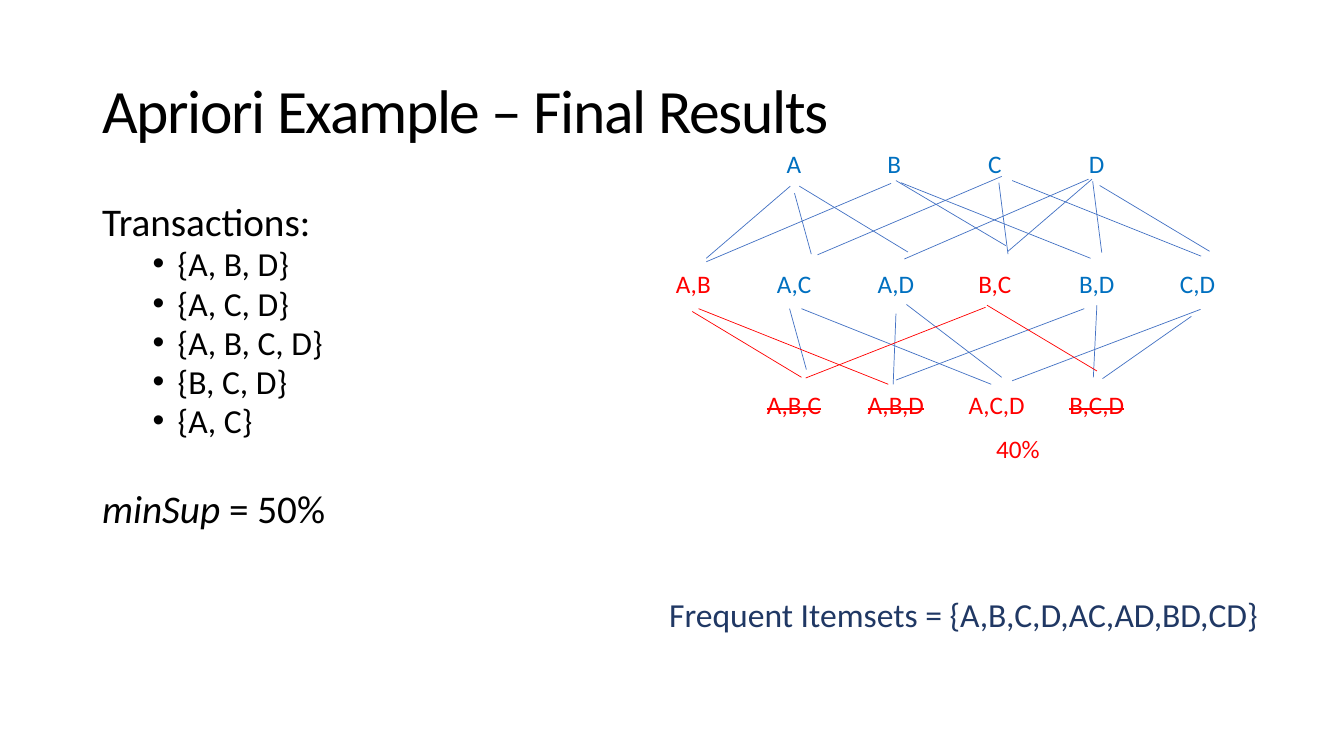
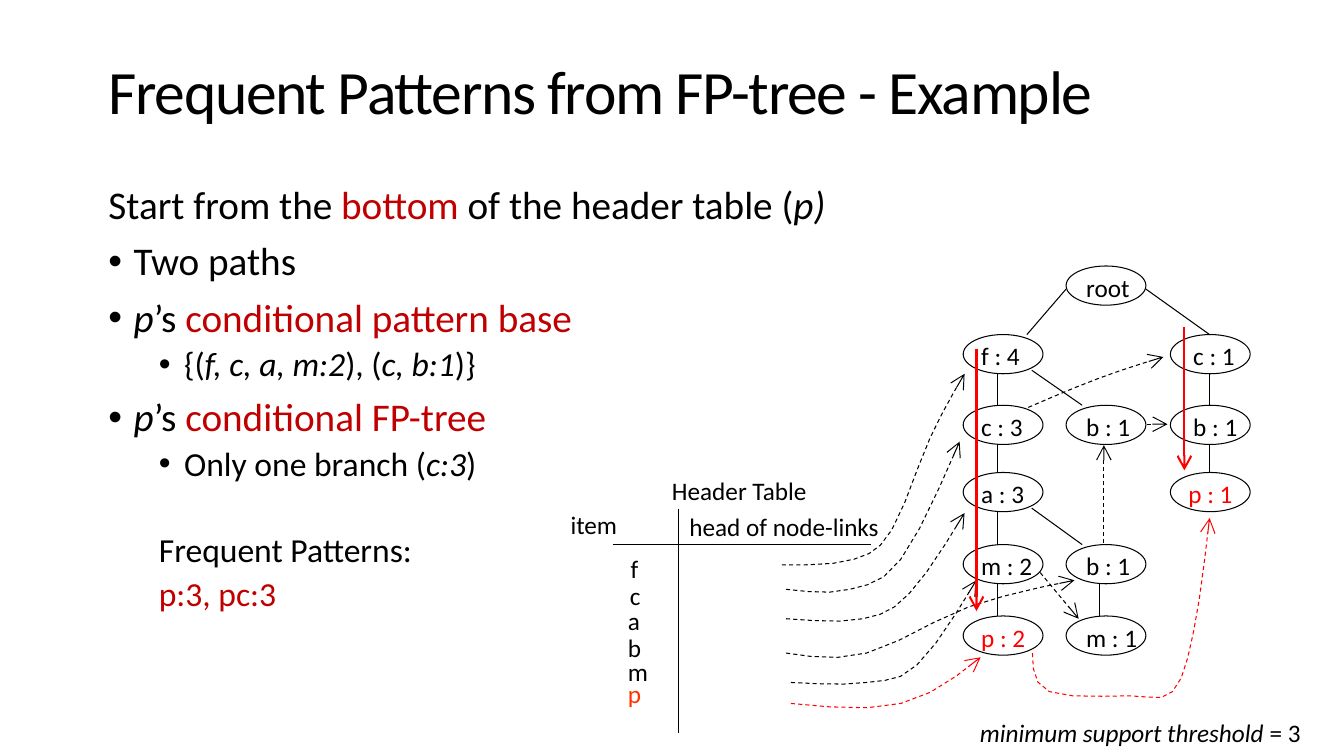
from dataclasses import dataclass
from lxml.etree import SubElement
from pptx import Presentation
from pptx.dml.color import RGBColor as Rgb
from pptx.enum.dml import MSO_LINE
from pptx.enum.shapes import MSO_CONNECTOR, MSO_SHAPE
from pptx.enum.text import MSO_ANCHOR as Anchor, MSO_AUTO_SIZE as AutoSize, PP_ALIGN as Align
from pptx.oxml.ns import qn
from pptx.util import Pt


@dataclass(frozen=True)
class Theme:
    font: str = "Calibri"
    title: int = 44
    body: int = 28
    detail: int = 24
    label: int = 18
    black: Rgb = Rgb.from_string("000000")
    blue: Rgb = Rgb.from_string("0070C0")
    edge: Rgb = Rgb.from_string("4472C4")
    navy: Rgb = Rgb.from_string("203864")
    red: Rgb = Rgb.from_string("FF0000")
    crimson: Rgb = Rgb.from_string("C00000")
    orange: Rgb = Rgb.from_string("FF3300")


THEME = Theme()
ITALIC = {"italic": True}
CRIMSON = {"color": THEME.crimson}
RED = {"color": THEME.red}
STRUCK = {**RED, "strike": "sngStrike"}
RAW_RUN_FORMATS = ("spc", "strike")


def apply(target, formats):
    for name, value in formats.items():
        setattr(target, name, value)


def spline(knots, steps=3):
    last = len(knots) - 1
    pull = [tuple((b - a) / 6 for a, b in zip(knots[max(i - 1, 0)], knots[min(i + 1, last)]))
            for i in range(last + 1)]
    points = []
    for i in range(last):
        start, end = knots[i], knots[i + 1]
        leave = [k + d for k, d in zip(start, pull[i])]
        arrive = [k - d for k, d in zip(end, pull[i + 1])]
        if i == 0:
            leave = [(k + c) / 2 for k, c in zip(start, arrive)]
        if i == last - 1:
            arrive = [(k + c) / 2 for k, c in zip(end, leave)]
        for step in range(1, steps + 1):
            t = step / steps
            u = 1 - t
            points.append(tuple(
                u ** 3 * a + 3 * u * u * t * b + 3 * u * t * t * c + t ** 3 * d
                for a, b, c, d in zip(start, leave, arrive, end)))
    return points


class Deck:
    """Holds the theme, the presentation and the slide being filled."""

    def __init__(self, theme):
        self.theme = theme
        self.show = Presentation()
        self.show.slide_width, self.show.slide_height = Pt(960), Pt(540)
        self.slide = None

    def new_slide(self):
        self.slide = self.show.slides.add_slide(self.show.slide_layouts[6])

    def fill_frame(self, frame, paragraphs, **base):
        for index, (runs, style) in enumerate(paragraphs):
            paragraph = frame.paragraphs[0] if index == 0 else frame.add_paragraph()
            self.paragraph(paragraph, runs, **{**base, **style})

    def paragraph(self, paragraph, runs, size, color=THEME.black, margin=0, bullet=False,
                  tabs=(), run_format=None, **layout):
        props = paragraph._p.get_or_add_pPr()
        if margin:
            props.set("marL", str(Pt(margin)))
            props.set("indent", str(Pt(-18 if bullet else 0)))
        if bullet:
            SubElement(props, qn("a:buFont"), typeface="Arial")
            SubElement(props, qn("a:buChar"), char="•")
        if tabs:
            stops = SubElement(props, qn("a:tabLst"))
            for stop in tabs:
                SubElement(stops, qn("a:tab"), pos=str(Pt(stop)), algn="l")
        apply(paragraph, layout)
        for words, formats in [(runs, {})] if isinstance(runs, str) else runs:
            run = paragraph.add_run()
            run.text = words
            formats = {"name": self.theme.font, "size": Pt(size), "color": color,
                       **(run_format or {}), **formats}
            run.font.color.rgb = formats.pop("color")
            for name in RAW_RUN_FORMATS:
                if name in formats:
                    run._r.get_or_add_rPr().set(name, formats.pop(name))
            apply(run.font, formats)

    def text(self, left, top, width, height, paragraphs, anchor=Anchor.TOP, wrap=True, **base):
        if isinstance(paragraphs, str):
            paragraphs = [(paragraphs, {})]
        frame = self.slide.shapes.add_textbox(Pt(left), Pt(top), Pt(width), Pt(height)).text_frame
        apply(frame, {"margin_left": 0, "margin_right": 0, "margin_top": 0, "margin_bottom": 0,
                      "word_wrap": wrap, "vertical_anchor": anchor,
                      "auto_size": AutoSize.NONE if wrap else AutoSize.SHAPE_TO_FIT_TEXT})
        self.fill_frame(frame, paragraphs, **{"size": self.theme.label, **base})

    def title(self, words, left, top):
        self.text(left, top, 814, 104, words, Anchor.MIDDLE, size=self.theme.title,
                  line_spacing=0.9, run_format={"spc": "-96"})

    def stroke(self, shape, color, weight, dashed=False, arrow=False):
        shape.line.color.rgb = color
        shape.line.width = Pt(weight)
        if dashed:
            shape.line.dash_style = MSO_LINE.DASH
        if arrow:
            SubElement(shape._element.spPr.find(qn("a:ln")), qn("a:tailEnd"),
                       type="arrow", w="lg", len="lg")

    def line(self, x1, y1, x2, y2, color=THEME.black, weight=0.75, **ends):
        connector = self.slide.shapes.add_connector(
            MSO_CONNECTOR.STRAIGHT, Pt(x1), Pt(y1), Pt(x2), Pt(y2))
        self.stroke(connector, color, weight, **ends)
        SubElement(connector._element.spPr, qn("a:effectLst"))

    def curve(self, knots, color=THEME.black):
        builder = self.slide.shapes.build_freeform(Pt(knots[0][0]), Pt(knots[0][1]))
        builder.add_line_segments([(Pt(x), Pt(y)) for x, y in spline(knots)], close=False)
        link = builder.convert_to_shape()
        link.fill.background()
        link.shadow.inherit = False
        self.stroke(link, color, 0.75, dashed=True, arrow=True)

    def node(self, left, top, width, height, words, inset, color):
        oval = self.slide.shapes.add_shape(
            MSO_SHAPE.OVAL, Pt(left), Pt(top), Pt(width), Pt(height))
        oval.fill.background()
        oval.shadow.inherit = False
        self.stroke(oval, self.theme.black, 0.75)
        apply(oval.text_frame, {"margin_left": Pt(inset), "margin_right": 0,
                                "margin_top": Pt(2.5), "margin_bottom": 0,
                                "word_wrap": False, "vertical_anchor": Anchor.MIDDLE})
        self.fill_frame(oval.text_frame, [(words, {})], size=self.theme.label, color=color,
                        alignment=Align.LEFT)


def apriori_slide(deck):
    theme = deck.theme
    deck.new_slide()
    deck.title("Apriori Example – Final Results", 73, 29)

    transaction = {"level": 1, "margin": 54, "bullet": True, "size": theme.detail,
                   "space_before": Pt(5)}
    transactions = ["{A, B, D}", "{A, C, D}", "{A, B, C, D}", "{B, C, D}", "{A, C}"]
    deck.text(73, 147.5, 380, 240, [
        ("Transactions:", {}),
        *[(items, transaction) for items in transactions],
        ([("minSup ", ITALIC), ("= 50%", {})], {"space_before": Pt(38)}),
    ], size=theme.body, line_spacing=0.8)
    deck.text(478, 424, 430, 30, "Frequent Itemsets = {A,B,C,D,AC,AD,BD,CD}",
              size=theme.detail, color=theme.navy)

    level_gap = {"space_before": Pt(64.4)}
    deck.text(481, 106, 388.8, 218, [
        ("A\tB\tC\tD", {}),
        ([("A,B", RED), ("\tA,C\tA,D\t", {}), ("B,C", RED), ("\tB,D\tC,D", {})], level_gap),
        ([("A,B,C", STRUCK), ("\t", {}), ("A,B,D", STRUCK), ("\t", {}), ("A,C,D\t", RED),
          ("B,C,D", STRUCK)], level_gap),
    ], wrap=False, color=theme.blue, alignment=Align.CENTER,
        tabs=[72 * column for column in range(1, 6)])
    deck.text(711.5, 309.5, 40, 22, "40%", color=theme.red)

    subset_edges = {
        theme.edge: [
            (564.5, 133, 504.5, 184.5), (636.5, 131, 504.5, 187), (567.5, 138, 579.5, 181.5),
            (571, 133, 648.5, 180), (780, 128, 720, 179.5), (715.5, 126, 584, 182),
            (777.5, 128, 646, 185), (785.5, 132.5, 864, 179.5), (640, 129, 718.5, 175.5),
            (713.5, 130.5, 720, 181.5), (643.5, 130.5, 779, 184.5), (780.5, 129.5, 787, 180.5),
            (723, 129, 858, 183), (564, 220.5, 576, 264), (640, 224, 638, 274.5),
            (640, 271.5, 774.5, 220.5), (723, 272, 857.5, 221), (787.5, 270.5, 851, 226),
            (783.5, 218, 781, 269.5), (647.5, 217.5, 715.5, 269.5), (572.5, 220.5, 708, 274.5)],
        theme.red: [
            (494.5, 222.5, 572.5, 269.5), (499, 220.5, 634.5, 274.5),
            (704, 219.5, 575.5, 270), (705, 218, 783.5, 265)],
    }
    for color, edges in subset_edges.items():
        for edge in edges:
            deck.line(*edge, color=color, weight=0.5)


def header_table(deck):
    deck.text(480, 339.5, 109, 22, "Header Table")
    deck.text(407.5, 363.5, 73, 22, "item")
    deck.text(492.5, 365.5, 149, 22, "head of node-links")
    deck.line(438, 389, 622, 389)
    deck.line(484.5, 363.5, 484.5, 523.5)
    items = [("f", 450.5, 395), ("c", 450, 414.5), ("a", 448.5, 432.5),
             ("b", 448.5, 451.5), ("m", 448.5, 468.5), ("p", 448.5, 484.5)]
    for item, left, top in items:
        deck.text(left, top, 17, 22, item,
                  color=deck.theme.orange if item == "p" else deck.theme.black)


def fp_tree(deck):
    theme = deck.theme
    lefts, insets, trunks = (688, 761.5, 836), (4.5, 6, 8), (24.5, 24, 28)
    tops = (190, 239, 289.5, 337.5, 389, 440)
    width, height, leaf_inset = 57, 28, 4.5
    branches = [["f : 4", "c : 3", "a : 3", "m : 2", "p : 2"],
                ["root", None, "b : 1", None, "b : 1", "m : 1"],
                ["c : 1", "b : 1", "p : 1"]]
    first_rows = (1, 0, 1)
    for left, inset, first_row, branch, trunk in zip(lefts, insets, first_rows, branches, trunks):
        for row, (words, child) in enumerate(zip(branch, branch[1:] + [None]), first_row):
            if words:
                leaf = words.startswith("p")
                deck.node(left, tops[row], width, height, words,
                          leaf_inset if leaf else inset, theme.red if leaf else theme.black)
            if words and child:
                deck.line(left + trunk, tops[row] + height, left + trunk, tops[row + 1])
    deck.line(lefts[1], 206.5, 733.5, tops[1])
    deck.line(lefts[1] + width, 206.5, lefts[2] + trunks[2], tops[1])
    for row in (1, 3):
        deck.line(lefts[0] + 49, tops[row] + 25.5, lefts[1] + 11.5, tops[row + 1])


def node_links(deck):
    theme = deck.theme
    links = {
        theme.black: [
            [(558.5, 403.5), (610, 399.5), (637, 378.5), (664.5, 312.5), (689, 267)],
            [(561.5, 421), (607, 421), (643.5, 399.5), (685.5, 315.5)],
            [(561.5, 442), (616.5, 442), (649.5, 424), (689, 366.5)],
            [(561.5, 466.5), (619, 466.5), (692, 433.5), (767.5, 414.5)],
            [(565, 487.5), (619, 487.5), (655, 475), (697.5, 414.5)],
            [(734.5, 291), (785.5, 270), (831, 255)]],
        theme.red: [
            [(565, 502.5), (643.5, 502.5), (700.5, 469.5)],
            [(737.5, 466.5), (749.5, 494), (807, 497), (837.5, 494), (852.5, 451.5), (864, 370)]],
    }
    for color, curves in links.items():
        for knots in curves:
            deck.curve(knots, color)
    for link in [(743, 409, 770.5, 442), (788.5, 388, 788.5, 318), (819, 303, 834, 303)]:
        deck.line(*link, dashed=True, arrow=True)
    for prefix in [(697.5, 249, 697.5, 436.5), (846, 233.5, 846, 336)]:
        deck.line(*prefix, color=theme.red, weight=1.5, arrow=True)


def fp_tree_slide(deck):
    theme = deck.theme
    deck.new_slide()
    deck.title("Frequent Patterns from FP-tree - Example", 77.5, 15.5)
    point = {"margin": 18, "bullet": True, "space_before": Pt(10)}
    detail = {"level": 1, "margin": 54, "bullet": True, "size": theme.detail,
              "space_before": Pt(5)}
    result = {**detail, "margin": 36, "bullet": False}
    deck.text(77.5, 132.5, 640, 320, [
        ([("Start from the ", {}), ("bottom", CRIMSON), (" of the header table (", {}),
          ("p)", ITALIC)], {}),
        ("Two paths", point),
        ([("p", ITALIC), ("’s ", {}), ("conditional pattern base", CRIMSON)], point),
        ([("{(", {}), ("f, c, a, m:2", ITALIC), ("), (", {}), ("c, b:1", ITALIC),
          (")}", {})], detail),
        ([("p", ITALIC), ("’s ", {}), ("conditional FP-tree", CRIMSON)], point),
        ([("Only one branch (", {}), ("c:3", ITALIC), (")", {})], detail),
        ("Frequent Patterns:", {**result, "space_before": Pt(36)}),
        ("p:3, pc:3", {**result, **CRIMSON}),
    ], size=theme.body, line_spacing=0.9)
    deck.text(700, 512.5, 240, 22,
              [([("minimum support threshold", ITALIC), (" = 3", {})], {})])
    header_table(deck)
    fp_tree(deck)
    node_links(deck)


def main():
    deck = Deck(THEME)
    apriori_slide(deck)
    fp_tree_slide(deck)
    deck.show.save("out.pptx")


if __name__ == "__main__":
    main()
